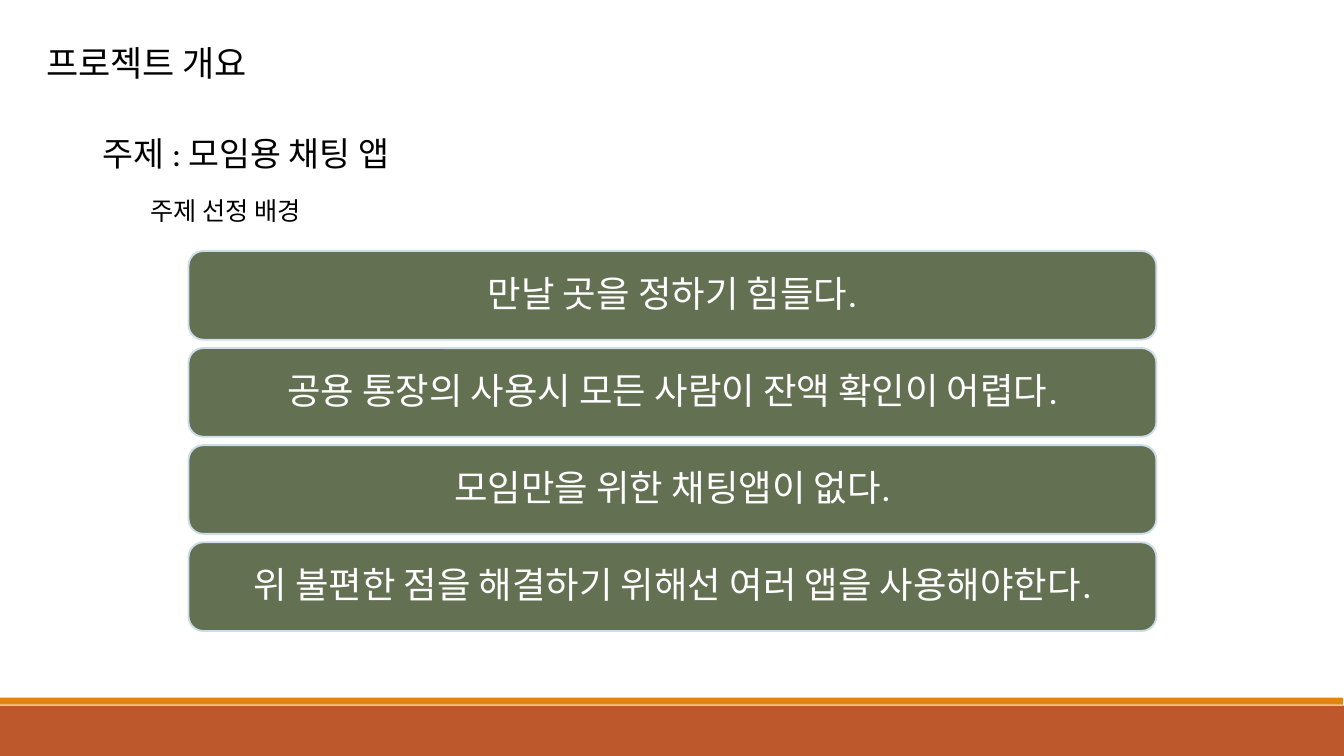
from pptx import Presentation
from pptx.dml.color import RGBColor
from pptx.enum.shapes import MSO_SHAPE
from pptx.enum.text import MSO_ANCHOR, MSO_AUTO_SIZE, PP_ALIGN
from pptx.util import Inches, Pt

RECTANGLE = MSO_SHAPE.RECTANGLE
ROUNDED = MSO_SHAPE.ROUNDED_RECTANGLE
TOP, MIDDLE = MSO_ANCHOR.TOP, MSO_ANCHOR.MIDDLE
NO_AUTOFIT = MSO_AUTO_SIZE.NONE
LEFT, CENTER = PP_ALIGN.LEFT, PP_ALIGN.CENTER

BLACK = RGBColor(0x00, 0x00, 0x00)
WHITE = RGBColor(0xFF, 0xFF, 0xFF)
RUST = RGBColor(0xBD, 0x58, 0x2C)
ORANGE = RGBColor(0xE4, 0x83, 0x12)
OLIVE = RGBColor(0x63, 0x70, 0x52)
PALE_BLUE = RGBColor(0xCC, 0xDD, 0xEA)


def add_filled(kind, left, top, width, height, color):
    shape = page.shapes.add_shape(
        kind, Inches(left), Inches(top), Inches(width), Inches(height))
    shape.shadow.inherit = False
    shape.fill.solid()
    shape.fill.fore_color.rgb = color
    shape.line.fill.background()
    return shape


def write(shape, text, size, color, align, anchor, wrap):
    frame = shape.text_frame
    frame_format = {"auto_size": NO_AUTOFIT, "word_wrap": wrap,
                    "vertical_anchor": anchor}
    for name, value in frame_format.items():
        setattr(frame, name, value)
    para = frame.paragraphs[0]
    para.alignment = align
    span = para.add_run()
    span.text = text
    font_format = {"name": "Calibri", "size": Pt(size), "bold": False}
    for name, value in font_format.items():
        setattr(span.font, name, value)
    span.font.color.rgb = color
    return para


deck = Presentation()
deck.slide_width, deck.slide_height = Inches(13.33), Inches(7.5)
page = deck.slides.add_slide(deck.slide_layouts[5])

add_filled(RECTANGLE, 0, 7, 13.33, 0.5, RUST)
add_filled(RECTANGLE, 0, 6.92, 13.32, 0.07, ORANGE)

title = page.shapes.title
title_place = {"left": 0.36, "top": 0.36, "width": 2.36, "height": 0.51}
for name, value in title_place.items():
    setattr(title, name, Inches(value))
write(title, "프로젝트 개요", 25, BLACK, LEFT, TOP, False)

headings = [
    ("주제 : 모임용 채팅 앱", 24, 0.92, 1.27, 7.32, 0.49, True),
    ("주제 선정 배경", 18, 1.39, 1.89, 1.83, 0.39, False),
]
for text, size, left, top, width, height, wrap in headings:
    box = page.shapes.add_textbox(
        Inches(left), Inches(top), Inches(width), Inches(height))
    write(box, text, size, BLACK, LEFT, TOP, wrap)

reasons = [
    "만날 곳을 정하기 힘들다.",
    "공용 통장의 사용시 모든 사람이 잔액 확인이 어렵다.",
    "모임만을 위한 채팅앱이 없다.",
    "위 불편한 점을 해결하기 위해선 여러 앱을 사용해야한다.",
]
REASON_TOP, REASON_STEP = 2.49, 2.89 / 3
for index, reason in enumerate(reasons):
    card = add_filled(
        ROUNDED, 1.87, REASON_TOP + index * REASON_STEP, 9.6, 0.88, OLIVE)
    card.line.color.rgb = PALE_BLUE
    card.line.width = Pt(1.35)
    para = write(card, reason, 26, WHITE, CENTER, MIDDLE, True)
    para.line_spacing = 0.9

deck.save("out.pptx")
